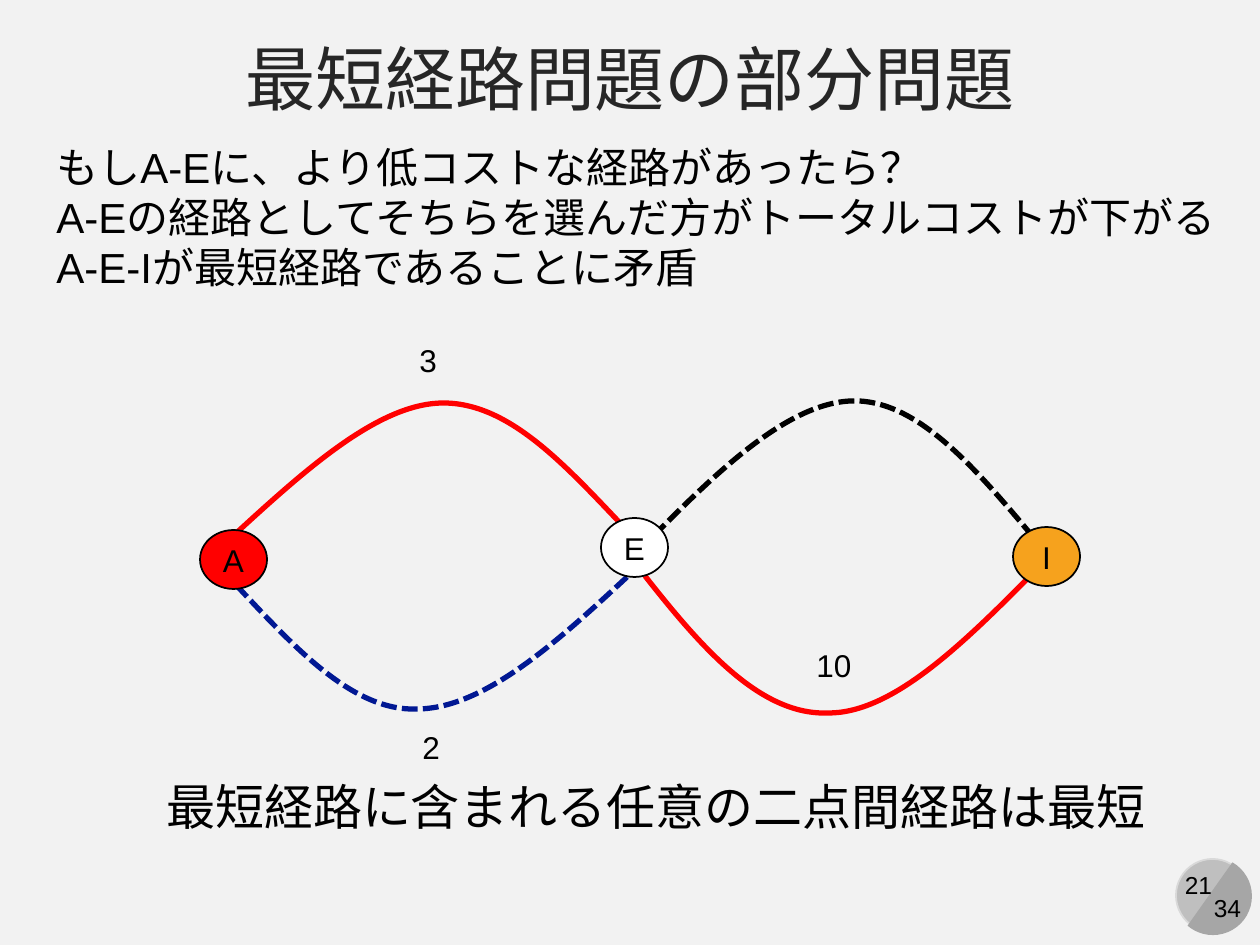
from dataclasses import dataclass

from lxml.etree import SubElement
from pptx import Presentation
from pptx.dml.color import RGBColor
from pptx.enum.dml import MSO_LINE
from pptx.enum.shapes import MSO_SHAPE
from pptx.enum.text import MSO_ANCHOR, MSO_AUTO_SIZE, PP_ALIGN
from pptx.oxml.ns import qn
from pptx.util import Pt

EMU_PER_PX = 914400 / 126


@dataclass(frozen=True)
class Theme:
    font: str = "Arial"
    background: str = "F2F2F2"
    title: str = "262626"
    ink: str = "000000"
    white: str = "FFFFFF"
    red: str = "FF0000"
    blue: str = "011893"
    orange: str = "F6A21D"
    badge: str = "BFBFBF"
    badge_edge: str = "D9D9D9"
    badge_shade: str = "A6A6A6"
    title_size: int = 40
    conclusion_size: int = 28
    body_size: int = 24
    label_size: int = 18
    page_size: int = 14


THEME = Theme()


def px(*lengths):
    return [round(length * EMU_PER_PX) for length in lengths]


def rgb(color):
    return RGBColor.from_string(color)


def write_lines(frame, lines, size, color=THEME.ink, align=PP_ALIGN.LEFT):
    for index, line in enumerate(lines):
        para = frame.add_paragraph() if index else frame.paragraphs[0]
        para.alignment = align
        span = para.add_run()
        span.text = line
        span.font.name = THEME.font
        span.font.size = Pt(size)
        span.font.color.rgb = rgb(color)


def add_title(page, text):
    title = page.shapes.title
    title.left, title.top, title.width, title.height = px(0, 26, 1260, 103)
    frame = title.text_frame
    frame.vertical_anchor = MSO_ANCHOR.MIDDLE
    frame.auto_size = MSO_AUTO_SIZE.NONE
    write_lines(frame, [text], THEME.title_size, THEME.title, PP_ALIGN.CENTER)


def add_text(page, area, lines, size, align=PP_ALIGN.LEFT):
    frame = page.shapes.add_textbox(*px(*area)).text_frame
    frame.word_wrap = False
    frame.auto_size = MSO_AUTO_SIZE.SHAPE_TO_FIT_TEXT
    write_lines(frame, lines, size, align=align)


def add_filled(page, kind, area, fill, line=None):
    shape = page.shapes.add_shape(kind, *px(*area))
    shape.shadow.inherit = False
    shape.fill.solid()
    shape.fill.fore_color.rgb = rgb(fill)
    if line:
        shape.line.color.rgb = rgb(line)
        shape.line.width = Pt(1)
    else:
        shape.line.fill.background()
    return shape


def add_node(page, left, top, name, fill):
    node = add_filled(page, MSO_SHAPE.OVAL, (left, top, 67, 59), fill, THEME.ink)
    node.text_frame.vertical_anchor = MSO_ANCHOR.MIDDLE
    write_lines(node.text_frame, [name], THEME.label_size, align=PP_ALIGN.CENTER)


def add_route(page, points, color, dashed=False):
    """Draw a start point followed by Bezier triples as one open curve."""
    builder = page.shapes.build_freeform(*points[0], scale=EMU_PER_PX)
    builder.add_line_segments(points[1:], close=False)
    route = builder.convert_to_shape()
    # Gather every three straight segments into one cubic curve
    outline = next(route._element.iter(qn("a:path")))
    segments = outline.findall(qn("a:lnTo"))
    for first in range(0, len(segments), 3):
        curve = SubElement(outline, qn("a:cubicBezTo"))
        for segment in segments[first:first + 3]:
            curve.append(segment[0])
            outline.remove(segment)
    route.shadow.inherit = False
    route.fill.background()
    route.line.color.rgb = rgb(color)
    route.line.width = Pt(3)
    if dashed:
        route.line.dash_style = MSO_LINE.SQUARE_DOT


def add_page_badge(page, number, total):
    add_filled(page, MSO_SHAPE.OVAL, (1176, 859, 73, 73), THEME.badge, THEME.badge_edge)
    shade = add_filled(page, MSO_SHAPE.CHORD, (1174, 857, 78, 78), THEME.badge_shade)
    shade.adjustments[0] = 27
    shade.adjustments[1] = 141.42
    shade.rotation = 255
    for area, text in (((1171, 864, 55, 43), number), ((1201, 887, 53, 43), total)):
        add_text(page, area, [text], THEME.page_size, PP_ALIGN.CENTER)


def main():
    deck = Presentation()
    deck.slide_width, deck.slide_height = px(1260, 945)
    page = deck.slides.add_slide(deck.slide_layouts[5])
    page.background.fill.solid()
    page.background.fill.fore_color.rgb = rgb(THEME.background)

    add_page_badge(page, "21", "34")
    add_title(page, "最短経路問題の部分問題")

    # Routes between the nodes
    routes = (
        ([(233, 536), (305, 470), (378, 404), (442, 403),
          (508, 402), (564, 464), (622, 525)], THEME.red, False),
        ([(639, 551), (712, 476), (786, 403), (852, 401),
          (917, 399), (976, 469), (1034, 538)], THEME.ink, True),
        ([(627, 577), (556, 643), (484, 708), (418, 709),
          (354, 712), (296, 649), (238, 587)], THEME.blue, True),
        ([(1042, 564), (969, 638), (895, 713), (829, 713),
          (762, 716), (704, 651), (645, 576)], THEME.red, False),
    )
    for points, color, dashed in routes:
        add_route(page, points, color, dashed)

    # Nodes
    for left, top, name, fill in (
        (200, 530, "A", THEME.red),
        (601, 518, "E", THEME.white),
        (1013, 527, "I", THEME.orange),
    ):
        add_node(page, left, top, name, fill)

    # Route costs
    for area, cost in (
        ((407, 335, 53, 66), "3"),
        ((804, 640, 74, 66), "10"),
        ((410, 722, 42, 50), "2"),
    ):
        add_text(page, area, [cost], THEME.label_size)

    # Argument and conclusion
    add_text(page, (44, 135, 1234, 165), [
        "もしA-Eに、より低コストな経路があったら？",
        "A-Eの経路としてそちらを選んだ方がトータルコストが下がる",
        "A-E-Iが最短経路であることに矛盾",
    ], THEME.body_size)
    add_text(page, (154, 770, 1016, 72),
             ["最短経路に含まれる任意の二点間経路は最短"], THEME.conclusion_size)

    deck.save("out.pptx")


if __name__ == "__main__":
    main()
